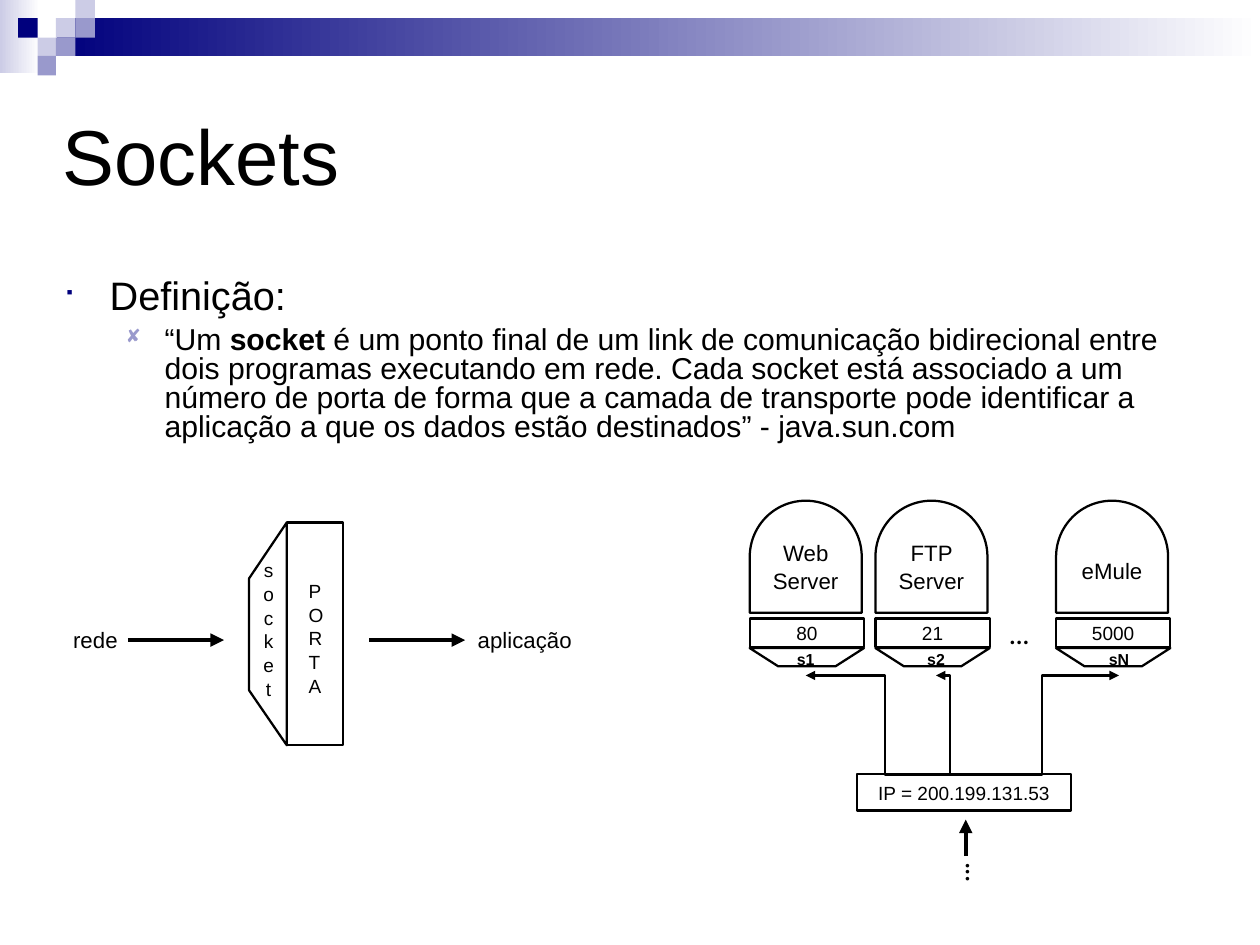
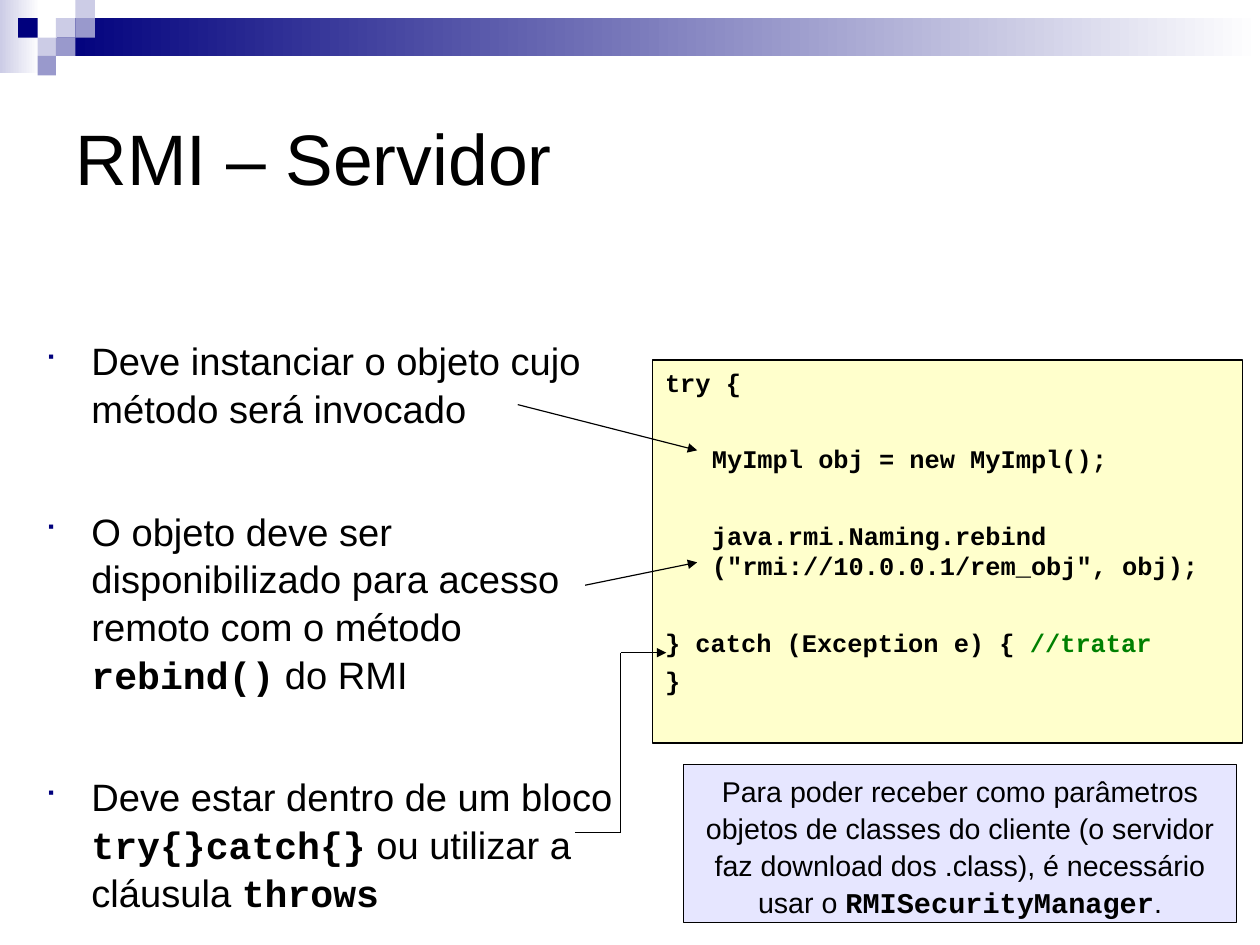
from lxml import etree
from pptx import Presentation
from pptx import util as u
from pptx.dml.color import RGBColor
from pptx.enum import shapes, text
from pptx.oxml import ns

PX = 9144  # one hundred px to the inch
COLORS = {
    "black": "000000", "navy": "00007D", "violet": "9999CC", "pale": "CCCCE6",
    "white": "FFFFFF", "cream": "FFFFCC", "lavender": "E6E6FF", "green": "008000",
}
RGB = {name: RGBColor.from_string(value) for name, value in COLORS.items()}
KIND = shapes.MSO_SHAPE
CENTER = text.PP_ALIGN.CENTER
MIDDLE = text.MSO_ANCHOR.MIDDLE
PADDING = (11, 6)
THIN, MEDIUM, THICK = 0.75, 1.42, 2.83
MONO = {"name": "Courier New", "bold": True}


def add_box(slide, box, paragraphs=(), kind=None, fill=None, line=None,
            inset=PADDING, anchor=text.MSO_ANCHOR.TOP):
    """Add a text box, or a preset shape if kind is given.

    A paragraph is (runs, font, layout); a run is (words, font changes).
    """
    frame = [value * PX for value in box]
    if kind is None:
        shape = slide.shapes.add_textbox(*frame)
    else:
        shape = slide.shapes.add_shape(kind, *frame)
        shape.shadow.inherit = False
        shape.fill.background()
        shape.line.fill.background()
    if fill:
        shape.fill.solid()
        shape.fill.fore_color.rgb = RGB[fill]
    if line:
        shape.line.color.rgb = RGB["black"]
        shape.line.width = u.Pt(line)
    text_frame = shape.text_frame
    side, top = (value * PX for value in inset)
    settings = {"word_wrap": True, "vertical_anchor": anchor, "margin_left": side,
                "margin_right": side, "margin_top": top, "margin_bottom": top}
    for name, value in settings.items():
        setattr(text_frame, name, value)

    for index, (runs, font, layout) in enumerate(paragraphs):
        paragraph = text_frame.paragraphs[0] if index == 0 else text_frame.add_paragraph()
        layout = {"alignment": text.PP_ALIGN.LEFT, "line_spacing": 1.04, **layout}
        left, first = layout.pop("indent", (0, 0))
        properties = paragraph._p.get_or_add_pPr()
        properties.set("marL", str(left * PX))
        properties.set("indent", str(first * PX))
        bullet = layout.pop("bullet", None)
        if bullet:
            character, color, percent = bullet
            holder = etree.SubElement(properties, ns.qn("a:buClr"))
            etree.SubElement(holder, ns.qn("a:srgbClr"), val=COLORS[color])
            etree.SubElement(properties, ns.qn("a:buSzPct"), val=str(percent * 1000))
            etree.SubElement(properties, ns.qn("a:buFont"), typeface="Wingdings")
            etree.SubElement(properties, ns.qn("a:buChar"), char=character)
        for name, value in layout.items():
            setattr(paragraph, name, value)
        for words, changes in runs:
            run = paragraph.add_run()
            run.text = words
            values = {"name": "Arial", "bold": False, "color": "black", **font, **changes}
            run.font.color.rgb = RGB[values.pop("color")]
            run.font.size = u.Pt(values.pop("size"))
            for name, value in values.items():
                setattr(run.font, name, value)
    return shape


def add_line(slide, points, width, arrow=True, kind=shapes.MSO_CONNECTOR.STRAIGHT):
    connector = slide.shapes.add_connector(kind, *[value * PX for value in points])
    connector.line.color.rgb = RGB["black"]
    connector.line.width = u.Pt(width)
    if arrow:
        etree.SubElement(connector.line._get_or_add_ln(), ns.qn("a:tailEnd"), type="triangle")
    etree.SubElement(connector._element.spPr, ns.qn("a:effectLst"))


presentation = Presentation()
presentation.slide_width = u.Emu(10080625)
presentation.slide_height = u.Emu(7559675)
blank = presentation.slide_layouts[6]
sockets = presentation.slides.add_slide(blank)
server = presentation.slides.add_slide(blank)

# Shared header, kept in the layout
header = []
for box, color in [((0, 0, 35, 64), "pale"), ((50, 16, 1053, 33), "navy")]:
    band = add_box(sockets, box, kind=KIND.RECTANGLE)
    band.fill.gradient()
    band.fill.gradient_angle = 0
    for stop, name in zip(band.fill.gradient_stops, (color, "white")):
        stop.color.rgb = RGB[name]
    header.append(band)
edges = [0, 16, 33, 49, 66, 83]
squares = [(3, 1, "pale"), (4, 0, "pale"), (4, 1, "violet"), (2, 2, "pale"),
           (1, 1, "navy"), (3, 2, "violet"), (2, 3, "violet")]
for column, row, color in squares:
    left, top = edges[column], edges[row]
    size = (edges[column + 1] - left, edges[row + 1] - top)
    header.append(add_box(sockets, (left, top, *size), kind=KIND.RECTANGLE, fill=color))
for shape in header:
    blank.shapes._spTree.append(shape._element)

titles = [
    (sockets, "Sockets", (55, 64, 992, 149), (0, 0), 49, 0.98),
    (server, "RMI – Servidor", (55, 55, 992, 165), PADDING, 45, 1.0),
]
for slide, title, box, inset, size, spacing in titles:
    add_box(slide, box, [([(title, {})], {"size": size}, {"line_spacing": spacing})],
            inset=inset, anchor=MIDDLE)

# Sockets: definition
square_bullet = {"bullet": ("■", "navy", 75), "indent": (41, -41)}
add_box(sockets, (55, 239, 992, 155), [
    ([("Definição:", {})], {"size": 25}, {**square_bullet, "line_spacing": 0.98}),
    ([("“Um ", {}), ("socket", {"bold": True}),
      (" é um ponto final de um link de comunicação bidirecional entre dois programas "
       "executando em rede. Cada socket está associado a um número de porta de forma que "
       "a camada de transporte pode identificar a aplicação a que os dados estão "
       "destinados” - java.sun.com", {})],
     {"size": 19}, {"bullet": ("◻", "violet", 80), "indent": (89, -34),
                    "line_spacing": 0.8, "space_before": u.Pt(4.8)}),
], inset=(0, 0))

# Sockets: port seen from the side
add_box(sockets, (251, 457, 49, 195), kind=KIND.RECTANGLE, line=MEDIUM)
for word, left, top, height in [("PORTA", 259, 500, 116), ("socket", 219, 482, 164)]:
    letters = [([(letter, {})], {"size": 12}, {"alignment": CENTER}) for letter in word]
    add_box(sockets, (left, top, 32, height), letters)
for label, left, width, arrow_start in [("rede", 53, 65, 112), ("aplicação", 407, 127, 323)]:
    add_line(sockets, (arrow_start, 560, arrow_start + 84, 560), THICK)
    add_box(sockets, (left, 541, width, 40), [([(label, {})], {"size": 14}, {})])

# Sockets: applications, each with its port, its socket and a line from the address
outlines = [[(251, 457), (251, 652), (218, 604), (218, 506)]]
applications = [("Web Server", "80", "s1", 656, 465, 705), ("FTP Server", "21", "s2", 766, 465, 819),
                ("eMule", "5000", "sN", 924, 468, 979)]
for application, port, socket, left, text_top, target in applications:
    add_box(sockets, (left, 438, 98, 98), kind=KIND.FLOWCHART_DELAY, line=MEDIUM).rotation = 270
    outlines.append([(left, 567), (left + 100, 567), (left + 75, 583), (left + 25, 583)])
    labels = [
        (application, (left, text_top, 98, 61), {"size": 14}, {"inset": PADDING}),
        (port, (left, 541, 100, 25), {"size": 12},
         {"inset": (0, 0), "kind": KIND.RECTANGLE, "line": MEDIUM}),
        (socket, (target - 50, 567, 100, 18), {"size": 10, "bold": True}, {"inset": (0, 0)}),
    ]
    for words, box, font, look in labels:
        add_box(sockets, box, [([(words, {})], font, {"alignment": CENTER})],
                anchor=MIDDLE, **look)
    add_line(sockets, (844, 678, target, 591), MEDIUM, kind=shapes.MSO_CONNECTOR.ELBOW)
for outline in outlines:
    builder = sockets.shapes.build_freeform(*outline[0], scale=PX)
    builder.add_line_segments(outline[1:], close=True)
    trapezoid = builder.convert_to_shape()
    trapezoid.shadow.inherit = False
    trapezoid.fill.background()
    trapezoid.line.color.rgb = RGB["black"]
    trapezoid.line.width = u.Pt(MEDIUM)

# Sockets: address that feeds the ports
add_box(sockets, (750, 677, 187, 32),
        [([("IP = 200.199.131.53", {})], {"size": 12}, {"alignment": CENTER})],
        kind=KIND.FLOWCHART_PROCESS, line=MEDIUM, inset=(0, 0), anchor=MIDDLE)
add_line(sockets, (845, 749, 845, 717), THICK)
for left, top, rotation in [(872, 530, 0), (807, 731, 270)]:
    dots = add_box(sockets, (left, top, 59, 45),
                   [([("...", {})], {"size": 18, "name": "Lato"}, {"line_spacing": 1.1})])
    dots.rotation = rotation

# Server: steps
steps = [
    [("Deve instanciar o objeto cujo método será invocado", {})],
    [("O objeto deve ser disponibilizado para acesso remoto com o método ", {}),
     ("rebind()", MONO), (" do RMI", {})],
    [("Deve estar dentro de um bloco ", {}), ("try{}catch{}", MONO),
     (" ou utilizar a cláusula ", {}), ("throws", MONO)],
]
add_box(server, (39, 294, 528, 521), [
    (runs, {"size": 24}, {**square_bullet, "space_before": u.Pt(47.5 if index else 0)})
    for index, runs in enumerate(steps)
], inset=(0, 0))

# Server: code, as runs, indent and space before
code = [
    ([("try {", {})], 0, 0),
    ([("MyImpl obj = new MyImpl();", {})], 41, 29),
    ([('java.rmi.Naming.rebind ("rmi://10.0.0.1/rem_obj", obj);', {})], 41, 29),
    ([("} catch (Exception e) { ", {}), ("//tratar", {"color": "green"})], 0, 29),
    ([("}", {})], 0, 5),
]
add_box(server, (571, 315, 516, 335), [
    (runs, {**MONO, "size": 16},
     {"indent": (indent, 0), "line_spacing": 1.0, "space_before": u.Pt(gap)})
    for runs, indent, gap in code
], kind=KIND.RECTANGLE, fill="cream", line=THIN)

add_box(server, (598, 669, 484, 138), [
    ([("Para poder receber como parâmetros objetos de classes do cliente (o servidor faz "
       "download dos .class), é necessário usar o ", {}),
      ("RMISecurityManager", MONO), (".", {})],
     {"size": 18}, {"alignment": CENTER, "line_spacing": 1.08}),
], kind=KIND.RECTANGLE, fill="lavender", line=THIN)

# Server: lines from each step to its code
step_lines = [
    ((453, 354, 610, 394), True), ((512, 512, 610, 492), True),
    ((503, 728, 543, 728), False), ((543, 728, 543, 571), False), ((543, 571, 583, 571), True),
]
for points, arrow in step_lines:
    add_line(server, points, THIN, arrow)

presentation.save("out.pptx")
